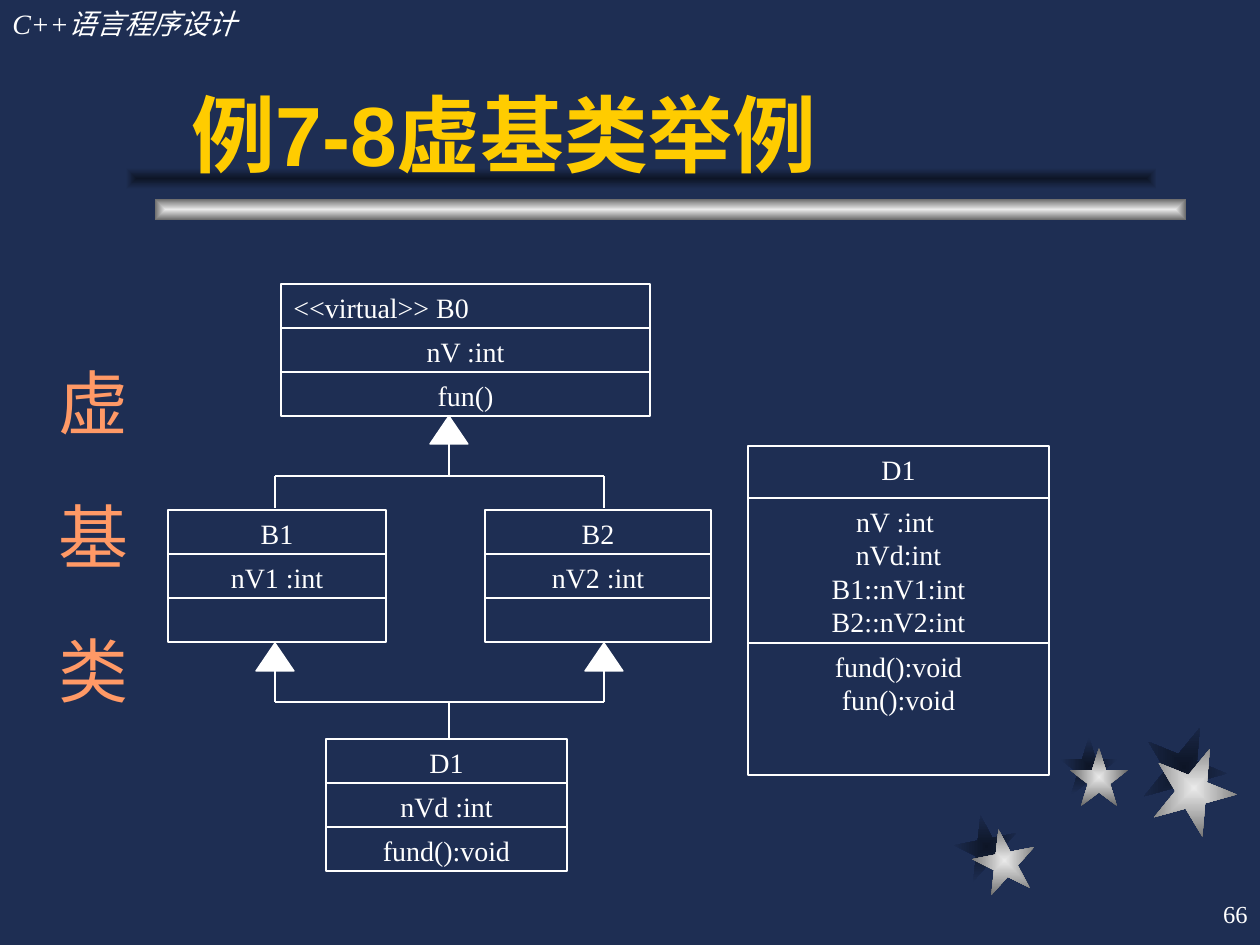
from lxml.etree import SubElement
from pptx import Presentation
from pptx.dml.color import RGBColor
from pptx.enum.shapes import MSO_CONNECTOR, MSO_SHAPE
from pptx.enum.text import MSO_ANCHOR, PP_ALIGN
from pptx.oxml.ns import qn
from pptx.util import Pt

NAVY = RGBColor(0x1E, 0x2E, 0x53)
DARK = RGBColor(0x0D, 0x15, 0x26)
SILVER = RGBColor(0xEA, 0xEA, 0xEA)
GREY = RGBColor(0x6B, 0x6B, 0x6B)
WHITE = RGBColor(0xFF, 0xFF, 0xFF)
GOLD = RGBColor(0xFF, 0xCC, 0x00)
ORANGE = RGBColor(0xFF, 0x99, 0x66)
SERIF, SANS = "Times New Roman", "Arial"

PX = 914400 / 126
ROW = 44

# left, top, size, turn
SHADES = [(955, 815, 63, -11), (1060, 737, 58, 0), (1142, 725, 84, 22)]
STARS = [(973, 829, 63, -11), (1070, 748, 58, 0), (1152, 746, 84, 22)]

# left, top, width, rows of (height, lines)
CLASSES = [
    (748, 446, 301, [
        (52, ["D1"]),
        (145, ["nV :int ", "nVd:int", "B1::nV1:int", "B2::nV2:int"]),
        (132, ["fund():void", "fun():void"])]),
    (168, 510, 218, [(ROW, ["B1"]), (ROW, ["nV1 :int"]), (ROW, [])]),
    (485, 510, 226, [(ROW, ["B2"]), (ROW, ["nV2 :int"]), (ROW, [])]),
    (326, 739, 241, [(ROW, ["D1"]), (ROW, ["nVd :int"]), (ROW, ["fund():void"])]),
    (281, 284, 369, [(ROW, ["<<virtual>> B0"]), (ROW, ["nV :int"]), (ROW, ["fun()"])]),
]

LEFT, MID, RIGHT = 275, 449, 604
TIPS = [(LEFT, 643), (RIGHT, 643), (MID, 416)]
LINES = [
    (LEFT, 670, LEFT, 702), (RIGHT, 670, RIGHT, 702),
    (LEFT, 702, RIGHT, 702), (MID, 739, MID, 702),
    (LEFT, 476, RIGHT, 476), (LEFT, 476, LEFT, 508),
    (RIGHT, 476, RIGHT, 508), (MID, 444, MID, 476),
]


def emu(*nums):
    return [round(n * PX) for n in nums]


def write(shape, lines, size=16, font=SERIF, color=WHITE, bold=False,
          italic=False, align=PP_ALIGN.LEFT, anchor=MSO_ANCHOR.TOP):
    frame = shape.text_frame
    frame.word_wrap = True
    frame.vertical_anchor = anchor
    for i, line in enumerate(lines):
        para = frame.paragraphs[0] if i == 0 else frame.add_paragraph()
        para.alignment = align
        run = para.add_run()
        run.text = line
        run.font.size, run.font.name = Pt(size), font
        run.font.bold, run.font.italic = bold, italic
        run.font.color.rgb = color
    return frame


def label(slide, box, text, **form):
    return write(slide.shapes.add_textbox(*emu(*box)), [text], **form)


def draw(slide, kind, box, fill=None, line=None):
    shape = slide.shapes.add_shape(kind, *emu(*box))
    shape.shadow.inherit = False
    if fill is None:
        shape.fill.background()
    else:
        shape.fill.solid()
        shape.fill.fore_color.rgb = fill
    if line is None:
        shape.line.fill.background()
    else:
        shape.line.color.rgb = line
        shape.line.width = Pt(0.75)
    return shape


def glow(shape, inner, outer):
    """Fill with a gradient that runs from the centre to the edges."""
    shape.fill.gradient()
    for stop, color in zip(shape.fill.gradient_stops, (inner, outer)):
        stop.color.rgb = color
    grad = shape.element.spPr.find(qn("a:gradFill"))
    grad.remove(grad.find(qn("a:lin")))
    route = SubElement(grad, qn("a:path"), path="rect")
    SubElement(route, qn("a:fillToRect"), l="50000", t="50000", r="50000", b="50000")


def link(slide, ends):
    line = slide.shapes.add_connector(MSO_CONNECTOR.STRAIGHT, *emu(*ends))
    line.line.color.rgb = WHITE
    line.line.width = Pt(0.75)
    SubElement(line.element.spPr, qn("a:effectLst"))


def adorn(slide):
    for stars, tones in ((SHADES, (DARK, NAVY)), (STARS, (SILVER, GREY))):
        for x, y, size, turn in stars:
            star = draw(slide, MSO_SHAPE.STAR_5_POINT, (x, y, size, size))
            star.rotation = turn
            glow(star, *tones)
    for x, y, tones in ((155, 199, (SILVER, GREY)), (126, 168, (DARK, NAVY))):
        glow(draw(slide, MSO_SHAPE.RECTANGLE, (x, y, 1031, 21)), *tones)


def side(slide):
    """Vertical heading, spread out by letter spacing."""
    frame = label(slide, (31, 105, 108, 798), "虚基类", size=40, color=ORANGE)
    body = frame._txBody.bodyPr
    body.set("vert", "eaVert")
    frame.margin_left, frame.margin_right, frame.margin_top = emu(6, 6, 13)
    para = frame.paragraphs[0]
    props = para._p.get_or_add_pPr()
    props.set("marL", str(emu(250)[0]))
    props.set("indent", "0")
    para.runs[0].font._element.set("spc", "3660")


def chart(slide):
    for x, y, width, rows in CLASSES:
        for high, lines in rows:
            cell = draw(slide, MSO_SHAPE.RECTANGLE, (x, y, width, high), line=WHITE)
            first = lines[:1] == ["<<virtual>> B0"]
            write(cell, lines, align=PP_ALIGN.JUSTIFY if first else PP_ALIGN.CENTER)
            y += high
    for x, y in TIPS:
        draw(slide, MSO_SHAPE.ISOSCELES_TRIANGLE, (x - 19, y, 38, 28), WHITE, WHITE)
    for ends in LINES:
        link(slide, ends)


def main():
    deck = Presentation()
    deck.slide_width, deck.slide_height = emu(1260, 945)
    slide = deck.slides.add_slide(deck.slide_layouts[6])
    slide.background.fill.solid()
    slide.background.fill.fore_color.rgb = NAVY
    adorn(slide)
    label(slide, (0, 0, 388, 47), "C++语言程序设计", italic=True)
    label(slide, (179, 32, 987, 158), "例7-8虚基类举例", size=48, font=SANS,
          color=GOLD, bold=True, anchor=MSO_ANCHOR.BOTTOM)
    side(slide)
    chart(slide)
    label(slide, (998, 882, 262, 63), "66", size=14, align=PP_ALIGN.RIGHT,
          anchor=MSO_ANCHOR.MIDDLE)
    deck.save("out.pptx")


if __name__ == "__main__":
    main()
